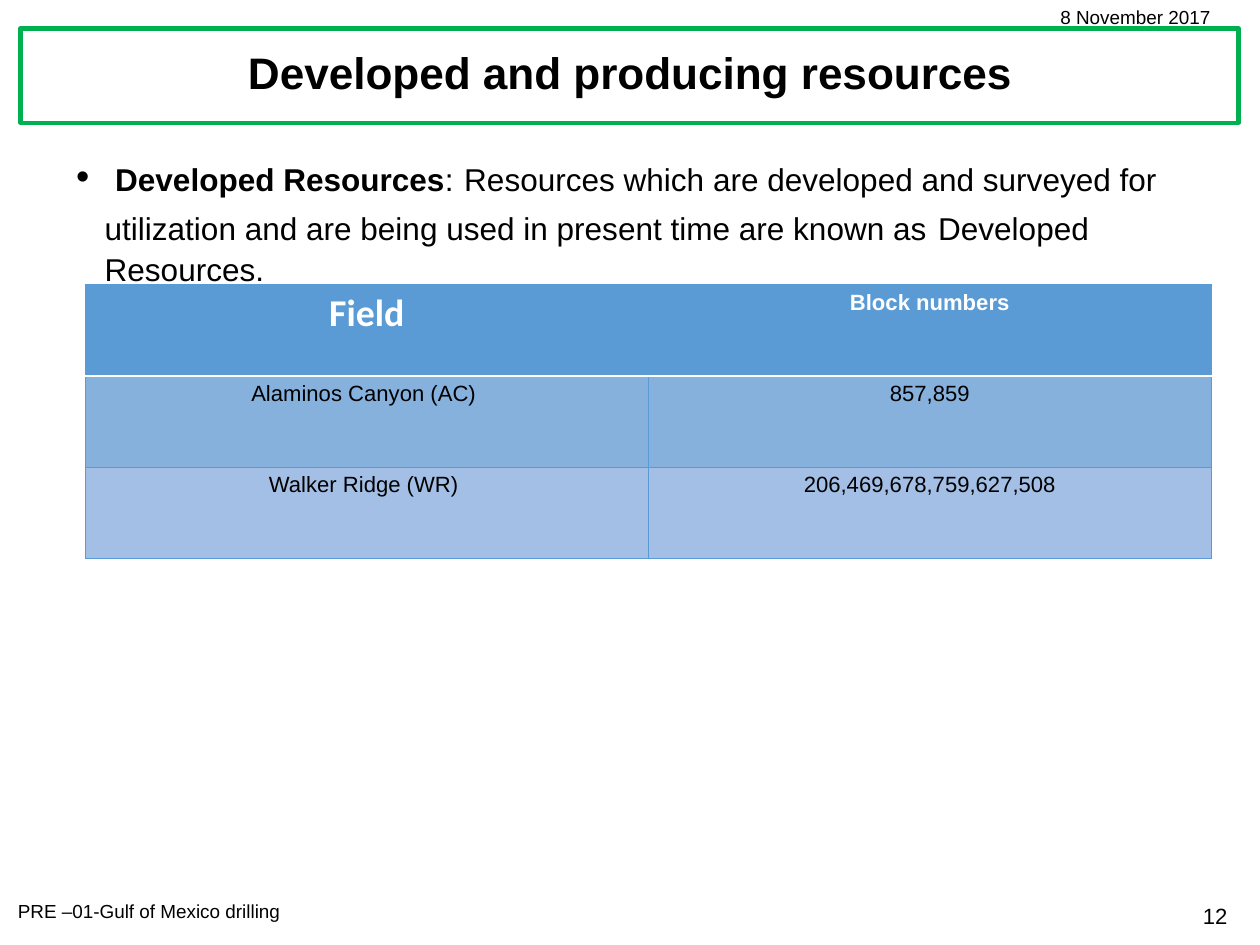
import lxml.etree
import pptx
import pptx.dml.color
import pptx.enum.shapes
import pptx.enum.text
import pptx.oxml.ns
import pptx.util

COLORS = {
    "text": "000000",
    "white": "FFFFFF",
    "frame": "00B050",
    "accent": "5B9BD5",
    "band_dark": "86B1DD",
    "band_light": "A3BFE5",
}
FONT = "Arial"
ALIGN = pptx.enum.text.PP_ALIGN


def rgb(name):
    return pptx.dml.color.RGBColor.from_string(COLORS[name])


def box(left, top, width, height):
    return [pptx.util.Cm(v) for v in (left, top, width, height)]


def write(p, text, size=20, bold=False, color="text", font=FONT, align=None):
    r = p.add_run()
    r.text = text
    r.font.size = pptx.util.Pt(size)
    r.font.bold = bold
    r.font.name = font
    r.font.color.rgb = rgb(color)
    if align is not None:
        p.alignment = align


class Deck:
    """Holds the style and the current slide, and adds its elements."""

    def __init__(self, width, height):
        self.prs = pptx.Presentation()
        self.prs.slide_width = pptx.util.Cm(width)
        self.prs.slide_height = pptx.util.Cm(height)
        self.s = self.prs.slides.add_slide(self.prs.slide_layouts[1])

    def place(self, sp, area, anchor):
        sp.left, sp.top, sp.width, sp.height = box(*area)
        tf = sp.text_frame
        tf.word_wrap = True
        tf.auto_size = pptx.enum.text.MSO_AUTO_SIZE.NONE
        tf.vertical_anchor = anchor
        return tf.paragraphs[0]

    def frame(self, *area):
        sp = self.s.shapes.add_shape(pptx.enum.shapes.MSO_SHAPE.RECTANGLE, *box(*area))
        sp.shadow.inherit = False
        sp.fill.solid()
        sp.fill.fore_color.rgb = rgb("white")
        sp.line.color.rgb = rgb("frame")
        sp.line.width = pptx.util.Pt(2.75)
        self.s.shapes.title._element.addprevious(sp._element)

    def title(self, text, *area):
        p = self.place(self.s.shapes.title, area, pptx.enum.text.MSO_ANCHOR.MIDDLE)
        p.line_spacing = 0.9
        write(p, text, size=28, bold=True, align=ALIGN.CENTER)

    def bullet(self, runs, *area):
        p = self.place(self.s.placeholders[1], area, pptx.enum.text.MSO_ANCHOR.TOP)
        p.line_spacing = 1.07
        p.space_before = pptx.util.Pt(10)
        pPr = p._p.get_or_add_pPr()
        indent = pptx.util.Cm(0.64)
        pPr.set("marL", str(indent))
        pPr.set("indent", str(-indent))
        for text, style in runs:
            write(p, text, **style)

    def label(self, text, *area, **style):
        sp = self.s.shapes.add_textbox(*box(*area))
        sp.text_frame.word_wrap = True
        write(sp.text_frame.paragraphs[0], text, **style)

    def border(self, cell, side, color, width):
        qn = pptx.oxml.ns.qn
        ln = lxml.etree.Element(qn("a:" + side), w=str(pptx.util.Pt(width)))
        fill = lxml.etree.SubElement(ln, qn("a:solidFill"))
        lxml.etree.SubElement(fill, qn("a:srgbClr"), val=COLORS[color])
        return ln

    def cell(self, cell, text, fill, borders, **style):
        cell.fill.solid()
        cell.fill.fore_color.rgb = rgb(fill)
        tcPr = cell._tc.get_or_add_tcPr()
        for i, (side, color, width) in enumerate(borders):
            tcPr.insert(i, self.border(cell, side, color, width))
        write(cell.text_frame.paragraphs[0], text, align=ALIGN.CENTER, **style)

    def table(self, rows, left, top, width, row_height):
        area = box(left, top, width, row_height * len(rows))
        table = self.s.shapes.add_table(len(rows), len(rows[0]), *area).table
        for i, row in enumerate(rows):
            table.rows[i].height = pptx.util.Cm(row_height)
            fill = ("accent", "band_dark", "band_light")[i]
            top_line = ("white", 1) if i == 1 else ("accent", 0.5)
            bottom_line = ("white", 1) if i == 0 else ("accent", 0.5)
            borders = [
                ("lnL", "accent", 0.5),
                ("lnR", "accent", 0.5),
                ("lnT", *top_line),
                ("lnB", *bottom_line),
            ]
            for j, (text, style) in enumerate(row):
                self.cell(table.cell(i, j), text, fill, borders, **style)


def main():
    deck = Deck(28.22, 21.17)
    deck.frame(0.46, 0.64, 27.28, 2.11)
    deck.title("Developed and producing resources", 0.53, 0.64, 27.15, 2.11)

    plain, space = {}, (" ", {"size": 24})
    deck.bullet(
        [
            space,
            ("Developed Resources", {"bold": True}),
            (":", plain),
            space,
            ("Resources which are developed and surveyed for utilization "
             "and are being used in present time are known as", plain),
            space,
            ("Developed Resources. ", plain),
        ],
        1.45, 3.25, 25.68, 15.82,
    )

    head = {"size": 14, "bold": True, "color": "white"}
    value = {"size": 14}
    deck.table(
        [
            [("Field", {**head, "size": 24, "font": "Calibri"}), ("Block numbers", head)],
            [("Alaminos Canyon (AC) ", value), ("857,859", value)],
            [("Walker Ridge (WR) ", value), ("206,469,678,759,627,508", value)],
        ],
        1.91, 6.38, 25.22, 2.04,
    )

    deck.label("12", 23.88, 20.09, 3.86, 0.86, size=14, align=ALIGN.RIGHT)
    deck.label("PRE –01-Gulf of Mexico drilling", 0.15, 20.04, 10.87, 0.76, size=12)
    deck.label("8 November 2017", 23.5, 0, 4.27, 0.76, size=12)
    deck.prs.save("out.pptx")


if __name__ == "__main__":
    main()
